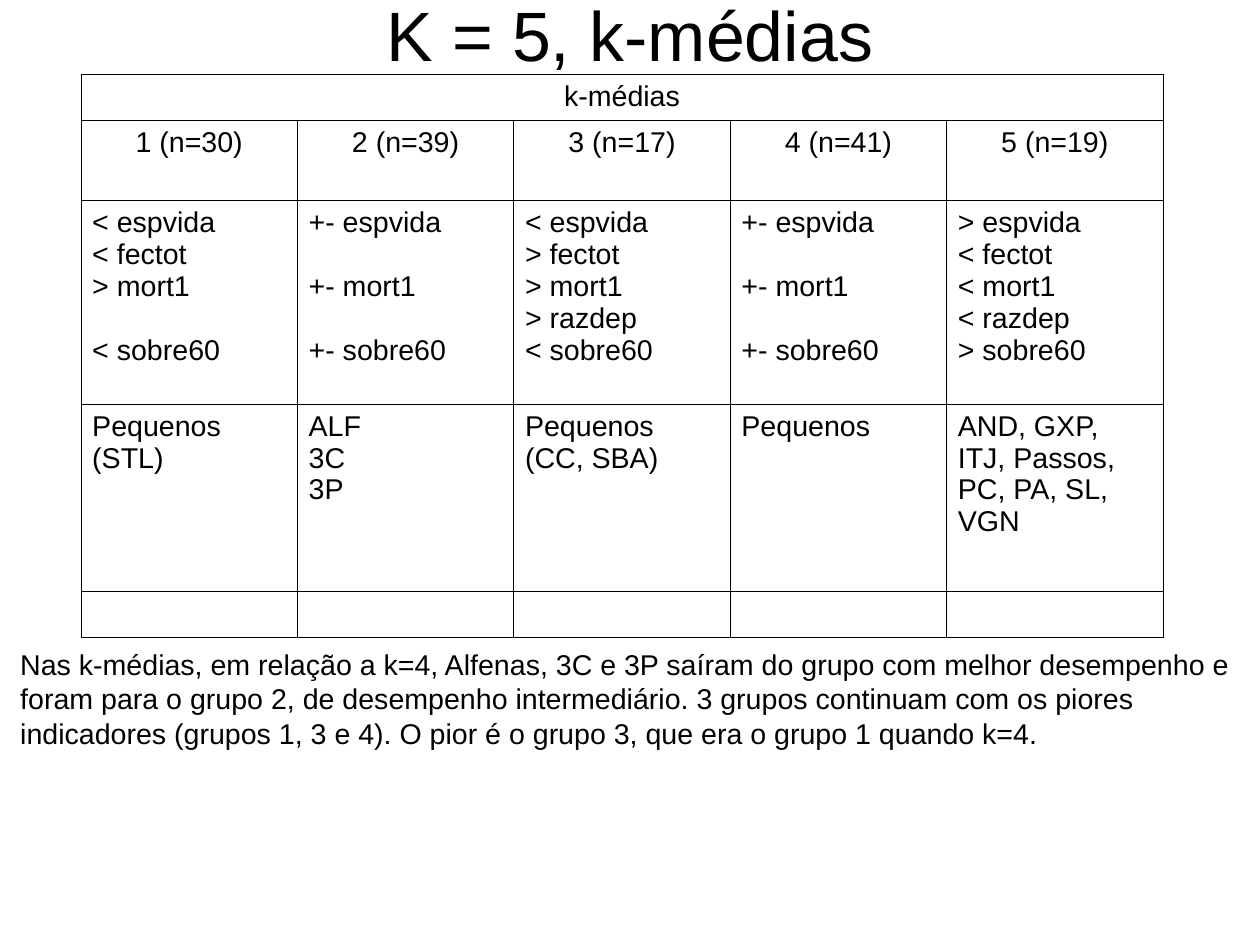
from lxml import etree
from pptx import Presentation
from pptx import util as u
from pptx.dml.color import RGBColor
from pptx.enum import text
from pptx.oxml.ns import qn

BLACK = RGBColor(0, 0, 0)
WHITE = RGBColor(255, 255, 255)
FONT = "Arial"
LINE_HEIGHT = 20.2  # points taken by one skipped line in a cell

GROUP_SIZES = [30, 39, 17, 41, 19]
INDICATORS = ["espvida", "fectot", "mort1", "razdep", "sobre60"]
# One sign per indicator; None leaves that line open
SIGNS = [
    ["<", "<", ">", None, "<"],
    ["+-", None, "+-", None, "+-"],
    ["<", ">", ">", ">", "<"],
    ["+-", None, "+-", None, "+-"],
    [">", "<", "<", "<", ">"],
]
TOWNS = [
    ["Pequenos", "(STL)"],
    ["ALF", "3C", "3P"],
    ["Pequenos", "(CC, SBA)"],
    ["Pequenos"],
    ["AND, GXP, ITJ, Passos, PC, PA, SL, VGN"],
]
ROW_HEIGHTS = [1.02, 1.78, 4.53, 4.16, 1.02]
COLUMN_WIDTH = 4.81
CONCLUSION = (
    "Nas k-médias, em relação a k=4, Alfenas, 3C e 3P saíram do grupo com "
    "melhor desempenho e foram para o grupo 2, de desempenho intermediário. "
    "3 grupos continuam com os piores indicadores (grupos 1, 3 e 4). "
    "O pior é o grupo 3, que era o grupo 1 quando k=4."
)


def write(frame, lines, size=18, align=text.PP_ALIGN.LEFT, spacing=None):
    """Write one paragraph per line; None becomes space before the next."""
    skipped = 0
    paragraph = None
    for line in lines:
        if line is None:
            skipped += 1
            continue
        paragraph = frame.paragraphs[0] if paragraph is None else frame.add_paragraph()
        paragraph.alignment = align
        if spacing:
            paragraph.line_spacing = spacing
        if skipped:
            paragraph.space_before = u.Pt(skipped * LINE_HEIGHT)
            skipped = 0
        run = paragraph.add_run()
        run.text = line
        run.font.size = u.Pt(size)
        run.font.name = FONT
        run.font.bold = False
        run.font.color.rgb = BLACK


def add_text(slide, box, content, margins=(0.25, 0.13),
             anchor=text.MSO_ANCHOR.TOP, **text_format):
    shape = slide.shapes.add_textbox(*(u.Cm(length) for length in box))
    frame = shape.text_frame
    frame.word_wrap = True
    frame.vertical_anchor = anchor
    frame.margin_left = frame.margin_right = u.Cm(margins[0])
    frame.margin_top = frame.margin_bottom = u.Cm(margins[1])
    write(frame, [content], **text_format)


def style_cell(cell):
    """White cell with a thin black border on every side."""
    properties = cell._tc.get_or_add_tcPr()
    for side in ("a:lnL", "a:lnR", "a:lnT", "a:lnB"):
        line = etree.SubElement(properties, qn(side), w=str(u.Pt(0.57)))
        fill = etree.SubElement(line, qn("a:solidFill"))
        etree.SubElement(fill, qn("a:srgbClr"), val=str(BLACK))
    cell.fill.solid()
    cell.fill.fore_color.rgb = WHITE
    cell.margin_left = cell.margin_right = u.Cm(0.25)
    cell.margin_top = cell.margin_bottom = u.Cm(0.13)


def add_group_table(slide, left, top):
    count = len(GROUP_SIZES)
    table = slide.shapes.add_table(
        len(ROW_HEIGHTS), count, u.Cm(left), u.Cm(top),
        u.Cm(COLUMN_WIDTH * count), u.Cm(sum(ROW_HEIGHTS))).table
    table.first_row = table.horz_banding = False
    for row, height in zip(table.rows, ROW_HEIGHTS):
        row.height = u.Cm(height)
    for column in table.columns:
        column.width = u.Cm(COLUMN_WIDTH)
    for cell in table.iter_cells():
        style_cell(cell)

    # Heading over all groups
    center = text.PP_ALIGN.CENTER
    table.cell(0, 0).merge(table.cell(0, count - 1))
    write(table.cell(0, 0).text_frame, ["k-médias"], align=center)

    # One column per group: size, indicators, towns
    for index, size in enumerate(GROUP_SIZES):
        indicators = [sign and f"{sign} {name}"
                      for sign, name in zip(SIGNS[index], INDICATORS)]
        write(table.cell(1, index).text_frame, [f"{index + 1} (n={size})"], align=center)
        write(table.cell(2, index).text_frame, indicators)
        write(table.cell(3, index).text_frame, TOWNS[index])


def main():
    presentation = Presentation()
    presentation.slide_width = u.Cm(28)
    presentation.slide_height = u.Cm(21)
    slide = presentation.slides.add_slide(presentation.slide_layouts[6])

    # Title
    add_text(slide, (1.4, -1, 25.2, 3.5), "K = 5, k-médias", margins=(0, 0),
             anchor=text.MSO_ANCHOR.MIDDLE, size=44, align=text.PP_ALIGN.CENTER)
    # Conclusion under the table
    add_text(slide, (0.2, 14.25, 27.6, 5.94), CONCLUSION)
    # Groups
    add_group_table(slide, 1.8, 1.65)

    presentation.save("out.pptx")


if __name__ == "__main__":
    main()
